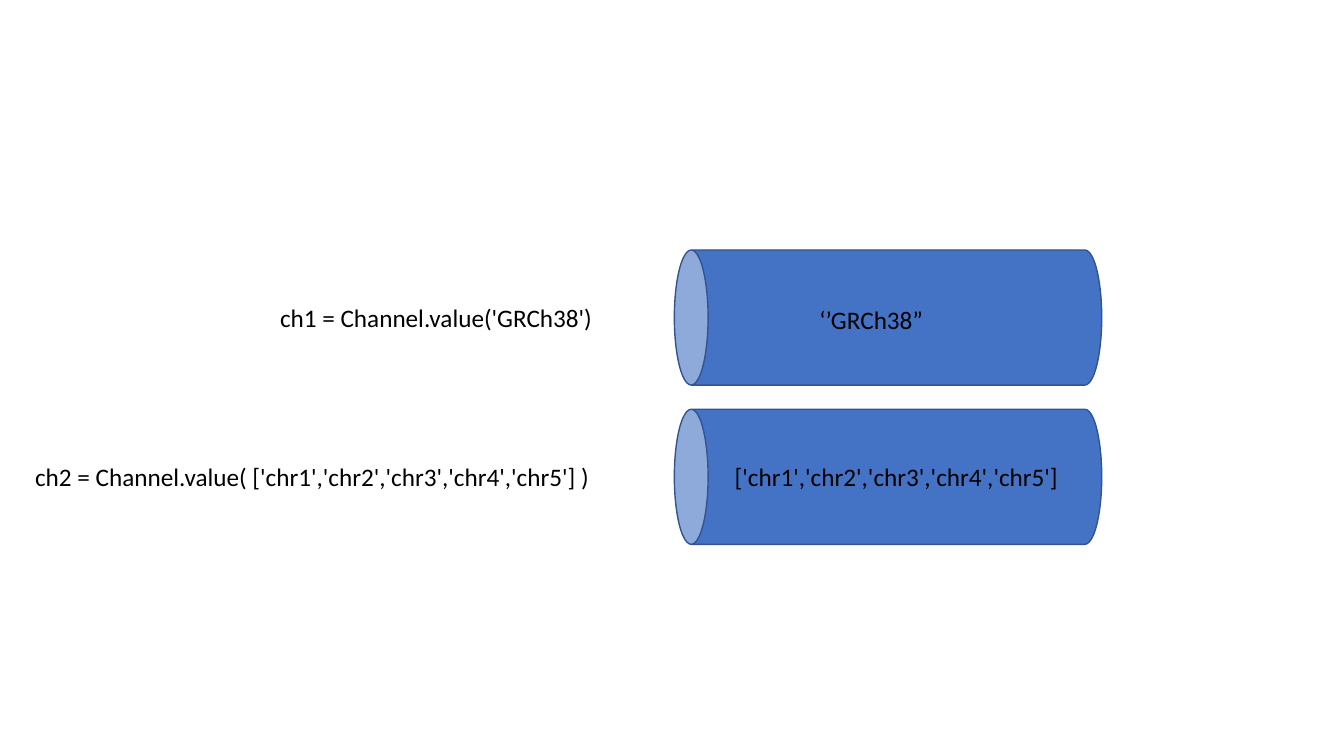
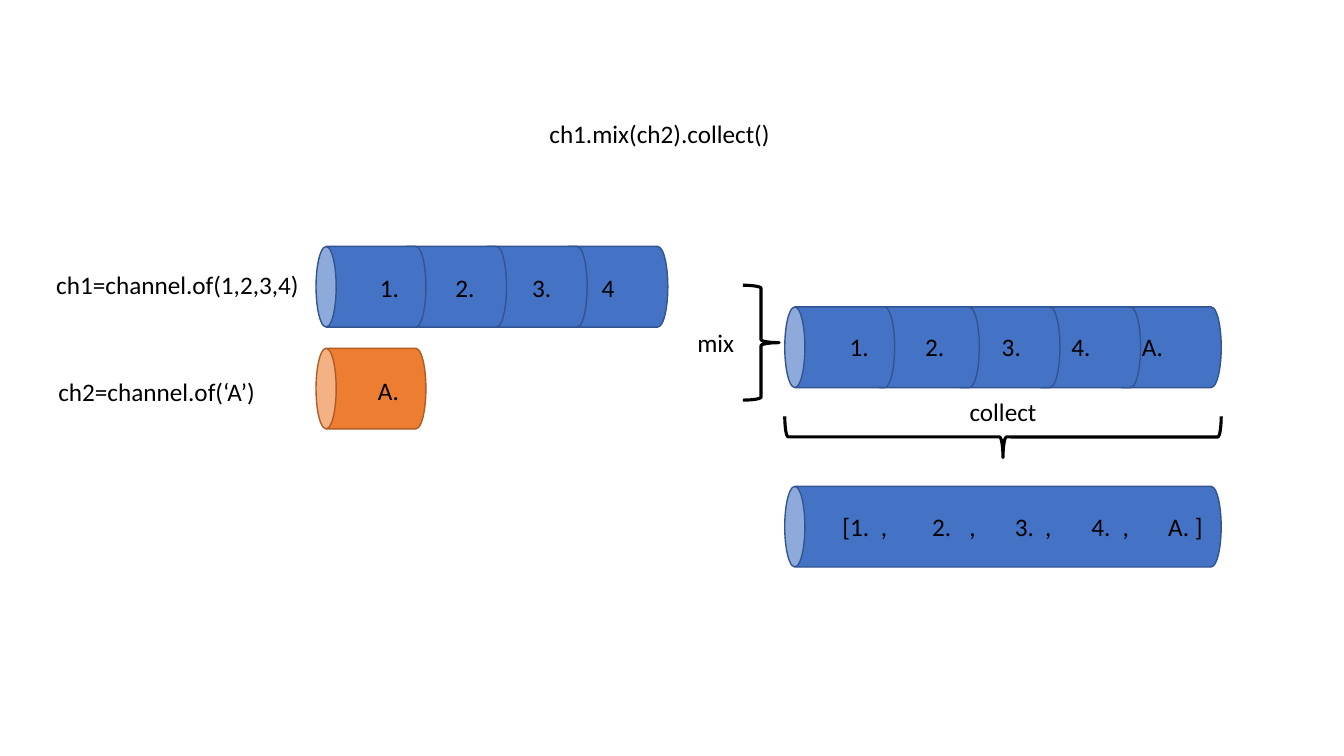
from dataclasses import dataclass

from lxml import etree
from pptx import Presentation
from pptx.dml.color import RGBColor
from pptx.enum import shapes, text
from pptx.oxml import ns
from pptx.util import Emu, Inches, Pt

CELL = Inches(0.1)  # the slide is a grid of 133.33 columns by 75 rows
COLUMNS, ROWS = 133.33, 75
TITLE_ONLY, BLANK = 5, 6
LABEL_ROWS = 4


@dataclass(frozen=True)
class Theme:
    """Colours, type and line widths that both slides share."""
    font: str = "Calibri"
    size: int = 18
    ink: str = "000000"
    blue: tuple = ("4472C4", "325491")
    orange: tuple = ("ED7D31", "AF5C24")
    outline: float = 1
    brace: float = 2.25


@dataclass(frozen=True)
class Box:
    """A region in grid columns and rows."""
    left: float
    top: float
    width: float
    height: float

    def inner(self, left, top, width, height):
        """Return a region offset from this one's corner."""
        return Box(self.left + left, self.top + top, width, height)

    def turned(self):
        """Return the unrotated frame that fills this box after a quarter turn."""
        shift = (self.width - self.height) / 2
        return Box(self.left + shift, self.top - shift, self.height, self.width)

    def lengths(self):
        """Return left, top, width and height as slide lengths."""
        return [Emu(round(cells * CELL))
                for cells in (self.left, self.top, self.width, self.height)]


THEME = Theme()


def colour(value):
    """Turn a hex string into a colour."""
    return RGBColor.from_string(value)


def write(frame, pieces, wrap=False):
    """Write pieces run by run into a text frame, one tab between neighbours."""
    frame.word_wrap = wrap
    frame.auto_size = text.MSO_AUTO_SIZE.SHAPE_TO_FIT_TEXT
    frame.vertical_anchor = text.MSO_ANCHOR.TOP
    para = frame.paragraphs[0]
    para.alignment = text.PP_ALIGN.LEFT
    for index, piece in enumerate(pieces):
        span = para.add_run()
        span.text = "\t" + piece if index else piece
        span.font.name = THEME.font
        span.font.size = Pt(THEME.size)
        span.font.color.rgb = colour(THEME.ink)


def add_label(page, box, *pieces, stops=(), wrap=False):
    """Add a text box; stops are tab positions in columns."""
    frame = page.shapes.add_textbox(*box.lengths()).text_frame
    write(frame, pieces, wrap or bool(stops))
    if stops:
        properties = frame.paragraphs[0]._p.get_or_add_pPr()
        tabs = etree.SubElement(properties, ns.qn("a:tabLst"))
        for stop in stops:
            etree.SubElement(tabs, ns.qn("a:tab"),
                             pos=str(round(stop * CELL)), algn="l")


def add_pipe(page, box, palette=THEME.blue):
    """Lay a can on its side so that it fills the box."""
    can = page.shapes.add_shape(shapes.MSO_SHAPE.CAN, *box.turned().lengths())
    can.rotation = 270
    can.shadow.inherit = False
    fill, line = palette
    can.fill.solid()
    can.fill.fore_color.rgb = colour(fill)
    can.line.color.rgb = colour(line)
    can.line.width = Pt(THEME.outline)


def add_segments(page, box, offsets, width):
    """Chain short pipes, the rightmost one at the back."""
    for offset in reversed(offsets):
        add_pipe(page, box.inner(offset, 0, width, box.height))


def add_brace(page, box, down=False):
    """Add a brace that points right, or down."""
    frame = box.turned() if down else box
    brace = page.shapes.add_shape(shapes.MSO_SHAPE.RIGHT_BRACE, *frame.lengths())
    brace.rotation = 90 if down else 0
    brace.shadow.inherit = False
    brace.fill.background()
    brace.line.color.rgb = colour(THEME.ink)
    brace.line.width = Pt(THEME.brace)


def add_title(page, box, words):
    """Move the title placeholder into the box and format it."""
    title = page.shapes.title
    title.left, title.top, title.width, title.height = box.lengths()
    write(title.text_frame, [words])


def build_values(page, box):
    """Pair each value channel's code with the pipe that holds its value."""
    rows = 2
    pipe_height, pitch = 13.4, 15.8
    for row in range(rows):
        add_pipe(page, box.inner(66.9, 24.8 + row * pitch, 42.4, pipe_height))
    add_label(page, box.inner(80.3, 29.7, 13.9, LABEL_ROWS), "‘’GRCh38”", wrap=True)
    add_label(page, box.inner(71.9, 45.3, 36.5, LABEL_ROWS),
              "['chr1','chr2','chr3','chr4','chr5']", wrap=True)
    add_label(page, box.inner(26.8, 29.5, 33.4, LABEL_ROWS),
              "ch1 = Channel.value('GRCh38')")
    add_label(page, box.inner(2.5, 45.3, 57.7, LABEL_ROWS),
              "ch2 = Channel.value( ['chr1','chr2','chr3','chr4','chr5'] )")


ITEM_STOPS = (7.5, 15.1, 22, 29)
SEGMENT, PIPE_ROWS, PITCH = 10.9, 8, 8


def build_inputs(page, box):
    """Show the two input channels with their code on the left."""
    add_segments(page, box.inner(26.75, 0, 34.9, PIPE_ROWS),
                 [PITCH * index for index in range(4)], SEGMENT)
    add_pipe(page, box.inner(26.75, 10.1, SEGMENT, PIPE_ROWS), THEME.orange)
    add_label(page, box.inner(32.1, 2.05, 28.7, LABEL_ROWS),
              "1.", "2.", "3.", "4", stops=ITEM_STOPS[:3])
    add_label(page, box.inner(31.9, 12.25, 5, LABEL_ROWS), "A.", wrap=True)
    add_label(page, box.inner(0, 1.75, 26.4, LABEL_ROWS), "ch1=channel.of(1,2,3,4)")
    add_label(page, box.inner(0.2, 12.35, 21.8, LABEL_ROWS), "ch2=channel.of(‘A’)")


def build_result(page, box):
    """Show the mixed channel and, below it, the collected list."""
    pipe = box.inner(9.65, 0, 43.3, PIPE_ROWS)
    add_segments(page, pipe, [0] + [8.4 + PITCH * index for index in range(4)],
                 SEGMENT)
    add_pipe(page, pipe.inner(0, 17.8, pipe.width, PIPE_ROWS))
    add_brace(page, box.inner(5.5, -2.15, 3.6, 11.4))
    add_brace(page, pipe.inner(0, 10.85, pipe.width, 4.1), down=True)
    add_label(page, pipe.inner(5.45, 1.95, 39.6, LABEL_ROWS),
              "1.", "2.", "3.", "4.", "A.", stops=ITEM_STOPS)
    add_label(page, pipe.inner(4.75, 19.75, 38.6, LABEL_ROWS),
              "[1.", ",", "2.", ",", "3.", ",", "4.", ",", "A. ]",
              stops=(3.8, 8.9, 12.6, 17.1, 20.1, 24.7, 27.8, 32.3))
    add_label(page, pipe.inner(17.35, 8.35, 8.7, LABEL_ROWS), "collect")
    add_label(page, box.inner(0, 1.55, 5.7, LABEL_ROWS), "mix")


def build_mix(page, box):
    """Show two channels being mixed and collected."""
    add_title(page, box.inner(53.5, 11.2, 24.1, LABEL_ROWS), "ch1.mix(ch2).collect()")
    build_inputs(page, box.inner(4.6, 24.45, 57.05, 18.1))
    build_result(page, box.inner(68.2, 30.45, 52.95, 25.8))


def main():
    """Build and save the deck."""
    deck = Presentation()
    whole = Box(0, 0, COLUMNS, ROWS)
    deck.slide_width, deck.slide_height = whole.lengths()[2:]
    for layout, build in ((BLANK, build_values), (TITLE_ONLY, build_mix)):
        build(deck.slides.add_slide(deck.slide_layouts[layout]), whole)
    deck.save("out.pptx")


main()
